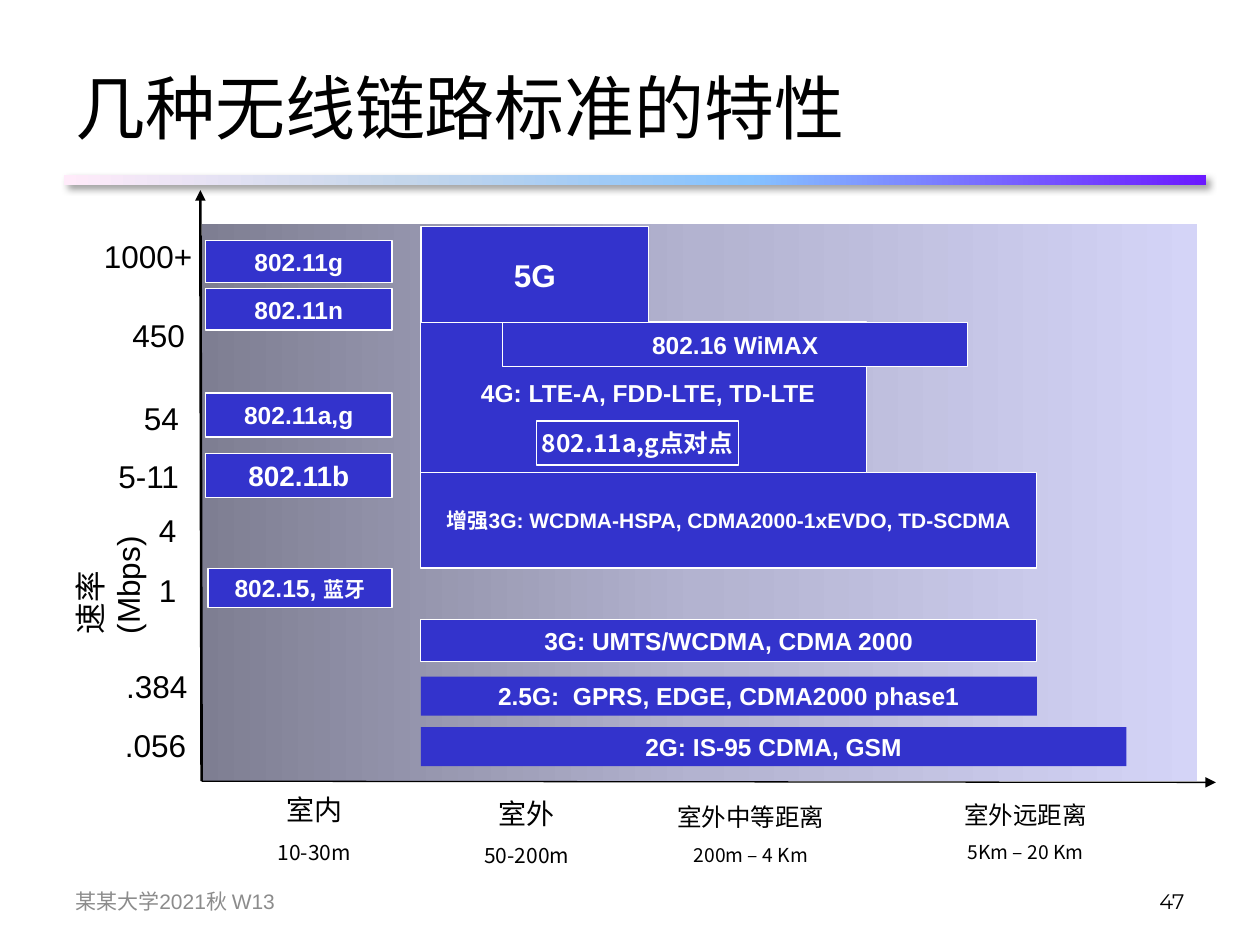
from lxml.etree import SubElement
from pptx import Presentation
from pptx.dml.color import RGBColor
from pptx.enum.shapes import MSO_CONNECTOR, MSO_SHAPE
from pptx.enum.text import MSO_ANCHOR, PP_ALIGN
from pptx.oxml import parse_xml
from pptx.oxml.ns import nsdecls, qn
from pptx.util import Pt

THEME = {
    "black": "000000", "white": "FFFFFF", "bar": "3333CC", "footer": "8C8C8C",
    "rule": [(0, "FFEBFA"), (30, "C4D6EB"), (60, "85C2FF"), (100, "6B19FF")],
    "plane": [(0, "7E7E92"), (50, "B3B3D0"), (100, "D4D4F7")],
    "sans": "Arial", "cjk": "Noto Sans CJK SC", "title_font": "Calibri",
    "number_font": "Montserrat",
    "title": 40, "axis": 18, "large": 16, "body": 14, "small": 12, "tiny": 11,
}

# Content
TITLE = "几种无线链路标准的特性"
FOOTER = "某某大学2021秋 W13"
PAGE_NUMBER = "47"
RATE_TITLE = "速率(Mbps)"

# Rate labels: text, centre x, centre y
RATES = [
    ("1000+", 84.6, 146.2), ("450", 90.7, 191.5), ("54", 92.2, 239),
    ("5-11", 85, 272.2), ("4", 95.8, 303.1), ("1", 95.8, 337),
    (".384", 89.6, 391.7), (".056", 88.9, 425.5),
]

# Distance labels: name, range, centre x, top, name size, range size
DISTANCES = [
    ("室内", "10-30m", 179.6, 440, "large", "small"),
    ("室外", "50-200m", 301, 442.1, "large", "small"),
    ("室外中等距离", "200m – 4 Km", 429.1, 446.4, "body", "tiny"),
    ("室外远距离", "5Km – 20 Km", 586.1, 445, "body", "tiny"),
]

INDOOR, INDOOR_WIDTH = 117.4, 106.6
OUTDOOR, MIDDLE_WIDTH = 240.5, 352

# Standards, back to front: spans (text, size), left, top, width, height
STANDARDS = [
    ([("2G: IS-95 CDMA, GSM", "body")], OUTDOOR, 415.5, 403.2, 22.3),
    ([("2.5G:  GPRS, EDGE, CDMA2000 phase1", "body")], OUTDOOR, 386.6, MIDDLE_WIDTH, 22.3),
    ([("802.15, ", "body"), ("蓝牙", "small")], 118.8, 324.7, 105.2, 22.3),
    ([("802.11b", "large")], INDOOR, 259.2, INDOOR_WIDTH, 25.2),
    ([("802.11a,g", "body")], INDOOR, 224.6, INDOOR_WIDTH, 25.2),
    ([("增强3G: WCDMA-HSPA, CDMA2000-1xEVDO, TD-SCDMA", "small")],
     OUTDOOR, 270, MIDDLE_WIDTH, 54.7),
    ([], OUTDOOR, 183.6, 254.9, 86.4),
    ([("802.11n", "body")], INDOOR, 164.9, INDOOR_WIDTH, 23.8),
    ([("5G", "axis")], OUTDOOR, 129.6, 130.3, 54.7),
    ([("802.11g", "body")], INDOOR, 137.5, INDOOR_WIDTH, 23.8),
    ([("802.16 WiMAX", "body")], 287.3, 184.3, 265.7, 25.2),
    ([("802.11a,g点对点", "body")], 306.7, 240.5, 115.2, 25.2),
    ([("3G: UMTS/WCDMA, CDMA 2000", "body")], OUTDOOR, 354.2, MIDDLE_WIDTH, 23.8),
]
BORDERLESS = 2  # the oldest two generations have no outline
CJK_FACED = "点对点"
FOUR_G = "4G: LTE-A, FDD-LTE, TD-LTE"


def color(name):
    return RGBColor.from_string(THEME[name])


def add_span(para, text, size, ink="black", face="sans", bold=False):
    span = para.add_run()
    span.text = text
    span.font.size = Pt(THEME[size])
    span.font.bold = bold
    span.font.color.rgb = color(ink)
    span.font.name = THEME[face]
    SubElement(span.font._element, qn("a:ea"), typeface=THEME["cjk"])


def add_text(page, place, lines, align=PP_ALIGN.CENTER, anchor=MSO_ANCHOR.MIDDLE,
             wrap=False, spacing=None, **style):
    box = page.shapes.add_textbox(*map(Pt, place))
    frame = box.text_frame
    frame.word_wrap = wrap
    frame.vertical_anchor = anchor
    for index, (text, size) in enumerate(lines):
        para = frame.add_paragraph() if index else frame.paragraphs[0]
        para.alignment = align
        para.line_spacing = spacing
        add_span(para, text, size, **style)
    return box


def add_rectangle(page, place):
    shape = page.shapes.add_shape(MSO_SHAPE.RECTANGLE, *map(Pt, place))
    shape.shadow.inherit = False
    shape.line.fill.background()
    return shape


def add_gradient(page, place, stops):
    shape = add_rectangle(page, place)
    marks = "".join(f'<a:gs pos="{at * 1000}"><a:srgbClr val="{tint}"/></a:gs>'
                    for at, tint in stops)
    shape._element.spPr.insert(2, parse_xml(
        f'<a:gradFill {nsdecls("a")}><a:gsLst>{marks}</a:gsLst>'
        '<a:lin ang="0" scaled="0"/></a:gradFill>'))
    return shape


def add_axis(page, ends, width):
    axis = page.shapes.add_connector(MSO_CONNECTOR.STRAIGHT, *map(Pt, ends))
    axis.line.color.rgb = color("black")
    axis.line.width = Pt(width)
    SubElement(axis.line._get_or_add_ln(), qn("a:tailEnd"), type="triangle")
    SubElement(axis._element.spPr, qn("a:effectLst"))


def add_standard(page, spans, place, outlined):
    bar = add_rectangle(page, place)
    bar.fill.solid()
    bar.fill.fore_color.rgb = color("bar")
    if outlined:
        bar.line.color.rgb = color("white")
        bar.line.width = Pt(0.75)
    frame = bar.text_frame
    frame.word_wrap = False
    frame.vertical_anchor = MSO_ANCHOR.MIDDLE
    para = frame.paragraphs[0]
    para.alignment = PP_ALIGN.CENTER
    for text, size in spans:
        face = "cjk" if CJK_FACED in text else "sans"
        add_span(para, text, size, "white", face, bold=True)


def main():
    deck = Presentation()
    deck.slide_width, deck.slide_height = Pt(720), Pt(540)
    page = deck.slides.add_slide(deck.slide_layouts[6])

    # Header rule with its shadow
    rule = add_gradient(page, (36.7, 100.1, 652.3, 5.8), THEME["rule"])
    rule._element.spPr.find(qn("a:effectLst")).append(parse_xml(
        f'<a:outerShdw {nsdecls("a")} blurRad="{Pt(4)}" dist="{Pt(3)}" dir="2700000">'
        '<a:srgbClr val="000000"><a:alpha val="40000"/></a:srgbClr></a:outerShdw>'))

    # Title and footer
    add_text(page, (36, 21.6, 648, 78.5), [(TITLE, "title")], PP_ALIGN.LEFT,
             wrap=True, face="title_font")
    add_text(page, (36, 500.4, 167.8, 28.8), [(FOOTER, "small")], PP_ALIGN.LEFT,
             wrap=True, ink="footer")
    add_text(page, (516.2, 500.4, 167.8, 28.8), [(PAGE_NUMBER, "small")],
             PP_ALIGN.RIGHT, wrap=True, face="number_font")

    # Plot area and axes
    add_gradient(page, (115.2, 128.2, 568.8, 318.2), THEME["plane"])
    add_axis(page, (115.2, 446.4, 694.8, 447.1), 0.75)
    add_axis(page, (115.2, 446.4, 114.5, 108.7), 1.5)

    # Axis labels
    for name, reach, center, top, name_size, reach_size in DISTANCES:
        add_text(page, (center - 50, top, 100, 54), [(name, name_size), (reach, reach_size)],
                 anchor=MSO_ANCHOR.TOP, spacing=1.5, face="cjk")
    for text, center, middle in RATES:
        add_text(page, (center - 33, middle - 14.4, 66, 28.8), [(text, "axis")])
    rate_title = add_text(page, (12, 295.5, 100, 48), [(RATE_TITLE, "axis")],
                          PP_ALIGN.LEFT, wrap=True)
    rate_title.rotation = 270

    # Standards
    for index, (spans, *place) in enumerate(STANDARDS):
        add_standard(page, spans, place, index >= BORDERLESS)
    add_text(page, (267.8, 212.4, 206.6, 24.5), [(FOUR_G, "body")], PP_ALIGN.LEFT,
             ink="white", bold=True)

    deck.save("out.pptx")


if __name__ == "__main__":
    main()
